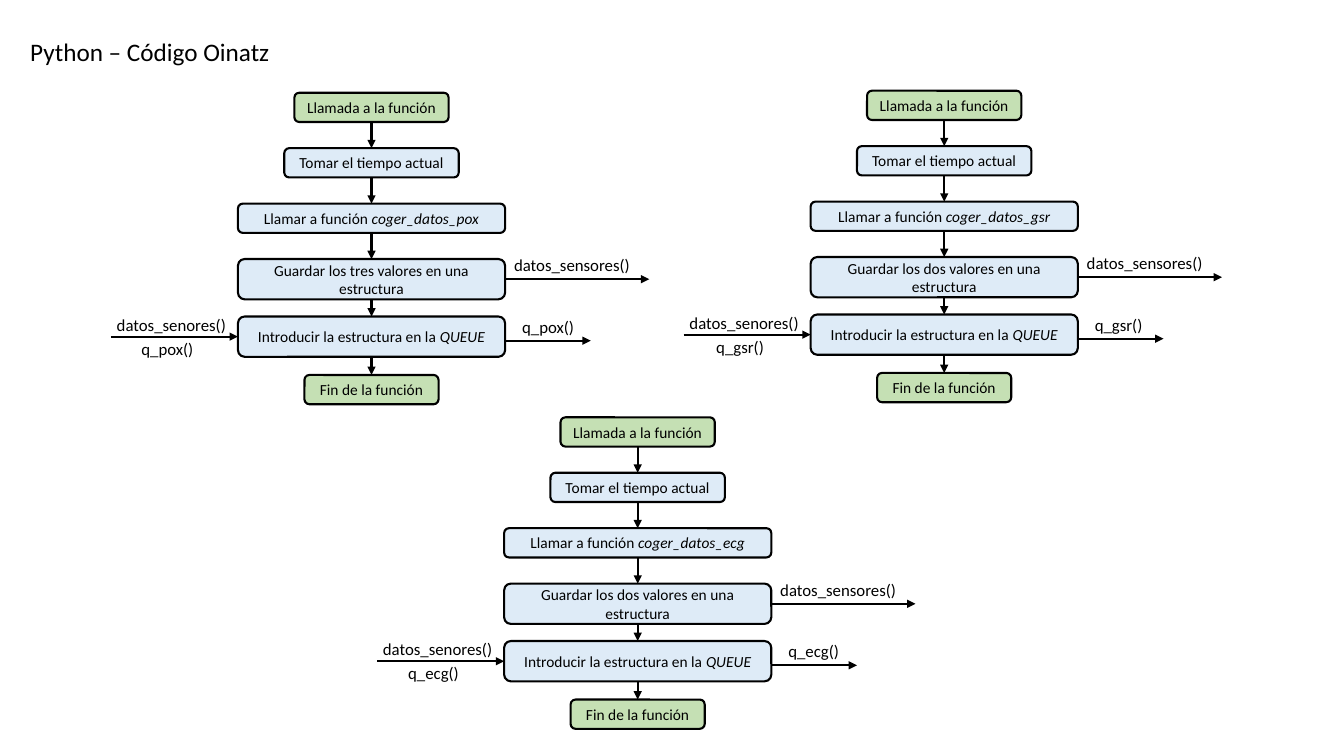
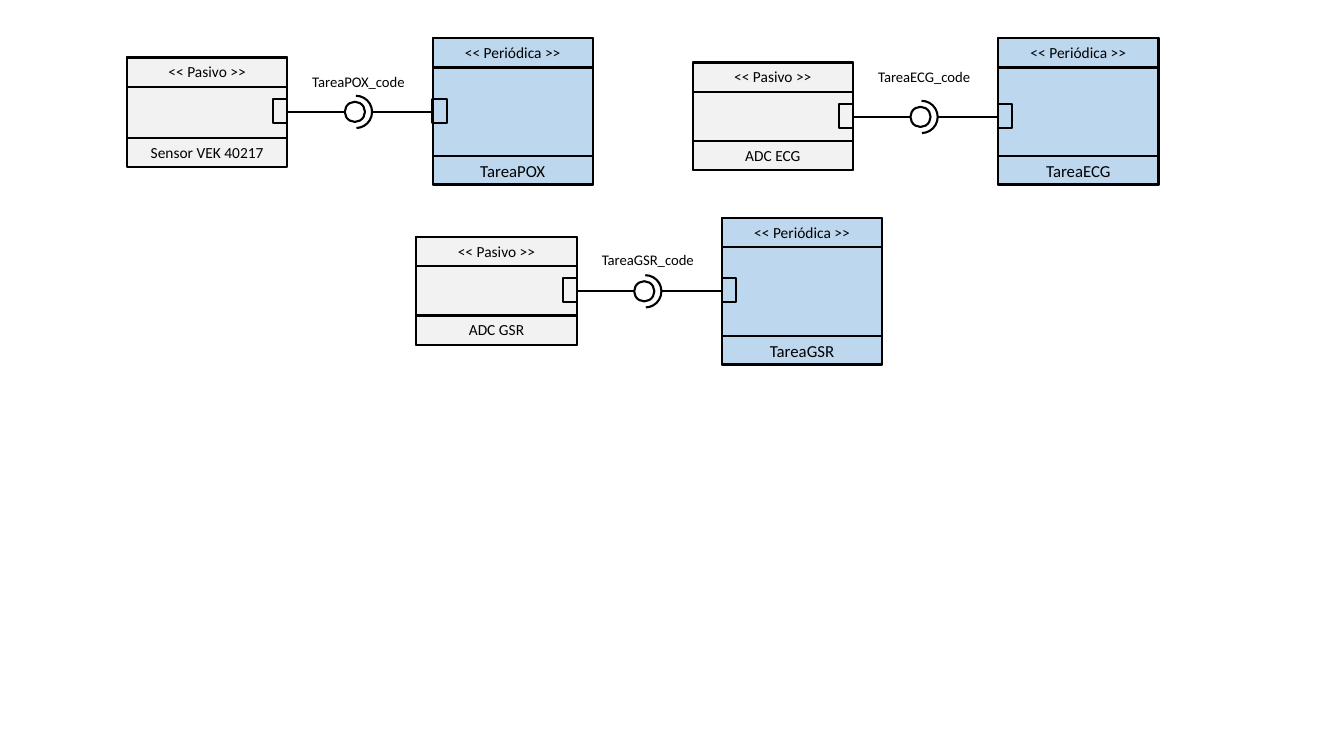
from dataclasses import dataclass
from itertools import pairwise
from typing import Any

from lxml import etree
from pptx import Presentation
from pptx import util as u
from pptx.dml import color
from pptx.enum import shapes, text
from pptx.oxml import ns

PX = 9144
FONT = "Calibri"
COLORS = {
    "ink": "000000",
    "step": "DEEBF7",
    "terminal": "C5E0B4",
    "active": "BDD7EE",
    "passive": "F2F2F2",
}
KINDS = shapes.MSO_SHAPE
ALIGN = text.PP_ALIGN
ANCHOR = text.MSO_ANCHOR
TITLE_FRAME = {
    "word_wrap": False,
    "vertical_anchor": ANCHOR.TOP,
    "auto_size": text.MSO_AUTO_SIZE.SHAPE_TO_FIT_TEXT,
}
BAND_FRAME = {**TITLE_FRAME, "word_wrap": True}
STEP_FRAME = {"word_wrap": True, "vertical_anchor": ANCHOR.MIDDLE}


def rgb(name):
    return color.RGBColor.from_string(COLORS[name])


def apply(target, values):
    for name, value in values.items():
        setattr(target, name, value)


def place(shape, left, top, width, height):
    sizes = {"left": left, "top": top, "width": width, "height": height}
    apply(shape, {name: u.Emu(size * PX) for name, size in sizes.items()})


def write(shape, words, size, frame, align=ALIGN.CENTER, emphasis=""):
    apply(shape.text_frame, frame)
    para = shape.text_frame.paragraphs[0]
    para.alignment = align
    for part, italic in ((words, False), (emphasis, True)):
        if part:
            span = para.add_run()
            span.text = part
            apply(span.font, {"name": FONT, "size": u.Pt(size), "italic": italic})
            span.font.color.rgb = rgb("ink")


def outline(shape):
    shape.line.color.rgb = rgb("ink")
    shape.line.width = u.Pt(1.5)


@dataclass
class Region:
    canvas: Any
    left: int
    top: int

    def shape(self, kind, left, top, width, height, fill=None):
        shape = self.canvas.add_shape(kind, 0, 0, PX, PX)
        place(shape, self.left + left, self.top + top, width, height)
        shape.shadow.inherit = False
        outline(shape)
        if fill:
            shape.fill.solid()
            shape.fill.fore_color.rgb = rgb(fill)
        else:
            shape.fill.background()
        return shape

    def line(self, x1, y1, x2, y2, arrow=True):
        ends = (self.left + x1, self.top + y1, self.left + x2, self.top + y2)
        line = self.canvas.add_connector(
            shapes.MSO_CONNECTOR.STRAIGHT, *(u.Emu(end * PX) for end in ends)
        )
        outline(line)
        props = line.element.xpath("./p:spPr")[0]
        if arrow:
            stroke = props.find(ns.qn("a:ln"))
            etree.SubElement(stroke, ns.qn("a:tailEnd"), type="triangle")
        etree.SubElement(props, ns.qn("a:effectLst"))
        return line

    def label(self, words, left, top, width, size=12, align=ALIGN.LEFT):
        box = self.canvas.add_textbox(0, 0, PX, PX)
        place(box, self.left + left, self.top + top, width, 30)
        write(box, words, size, TITLE_FRAME, align)

    def band(self, words, left, top, width, fill=None, size=11):
        box = self.shape(KINDS.RECTANGLE, left, top, width, 29, fill)
        write(box, words, size, BAND_FRAME)


def add_flow(page, left, top, sensor, count):
    region = Region(page.shapes, left, top)
    width, middle = 265, 133
    steps = (
        (0, 153, 29, "terminal", "Llamada a la función", ""),
        (55, 173, 29, "step", "Tomar el tiempo actual", ""),
        (110, width, 29, "step", "Llamar a función ", f"coger_datos_{sensor}"),
        (165, width, 40, "step", f"Guardar los {count} valores en una estructura", ""),
        (222, width, 40, "step", "Introducir la estructura en la ", "QUEUE"),
        (280, 133, 29, "terminal", "Fin de la función", ""),
    )
    boxes = []
    for y, wide, high, fill, words, emphasis in steps:
        box = region.shape(
            KINDS.ROUNDED_RECTANGLE, (width - wide) // 2, y, wide, high, fill
        )
        write(box, words, 11, STEP_FRAME, emphasis=emphasis)
        boxes.append(box)
    for (upper, lower), (first, second) in zip(pairwise(boxes), pairwise(steps)):
        arrow = region.line(middle, first[0] + first[2], middle, second[0])
        arrow.begin_connect(upper, 2)
        arrow.end_connect(lower, 0)

    region.line(width, 185, 408, 185)
    region.line(width, 246, 350, 246)
    region.line(-126, 242, 0, 242)
    queue = f"q_{sensor}()"
    region.label("datos_sensores()", 264, 156, 142)
    region.label(queue, 272, 217, 72)
    region.label("datos_senores()", -130, 215, 130)
    region.label(queue, -106, 239, 72, align=ALIGN.CENTER)


def add_link(page, left, top, task, source, passive_top, foot_top, label_top):
    region = Region(page.shapes, left, top)
    width, active_left = 159, 303
    port_top = passive_top + 41
    axis = passive_top + 54

    region.shape(KINDS.RECTANGLE, active_left, 0, width, 145, "active")
    region.band("<< Periódica >>", active_left, 0, width)
    region.band(f"Tarea{task}", active_left, 117, width, size=12)
    region.shape(KINDS.RECTANGLE, 0, passive_top, width, 107, "passive")
    region.band("<< Pasivo >>", 0, passive_top, width, "passive")
    region.band(source, 0, passive_top + foot_top, width, "passive")

    region.shape(KINDS.RECTANGLE, width - 14, port_top, 14, 24, "passive")
    region.shape(KINDS.RECTANGLE, active_left, port_top, 14, 24)
    region.shape(KINDS.OVAL, 216, axis - 10, 20, 20)
    socket = region.shape(KINDS.ARC, 211, axis - 16, 32, 32)
    socket.adjustments[0] = 162
    socket.adjustments[1] = 52.83
    region.line(width, axis, 216, axis, arrow=False)
    region.line(active_left, axis, 243, axis, arrow=False)
    region.label(f"Tarea{task}_code", 172, label_top, 115, 10.5, ALIGN.CENTER)


def build_flow_page(deck):
    page = deck.slides.add_slide(deck.slide_layouts[5])
    place(page.shapes.title, 20, 31, 260, 40)
    write(page.shapes.title, "Python – Código Oinatz", 18, TITLE_FRAME, ALIGN.LEFT)
    add_flow(page, 804, 90, "gsr", "dos")
    add_flow(page, 236, 92, "pox", "tres")
    add_flow(page, 500, 414, "ecg", "dos")


def build_task_page(deck):
    page = deck.slides.add_slide(deck.slide_layouts[6])
    add_link(page, 413, 216, "GSR", "ADC GSR", 19, 78, 28)
    add_link(page, 126, 38, "POX", "Sensor VEK 40217", 19, 80, 29)
    add_link(page, 687, 38, "ECG", "ADC ECG", 24, 78, 24)


def main():
    deck = Presentation()
    deck.slide_width = u.Emu(1333 * PX)
    deck.slide_height = u.Emu(750 * PX)
    build_flow_page(deck)
    build_task_page(deck)
    deck.save("out.pptx")


if __name__ == "__main__":
    main()
